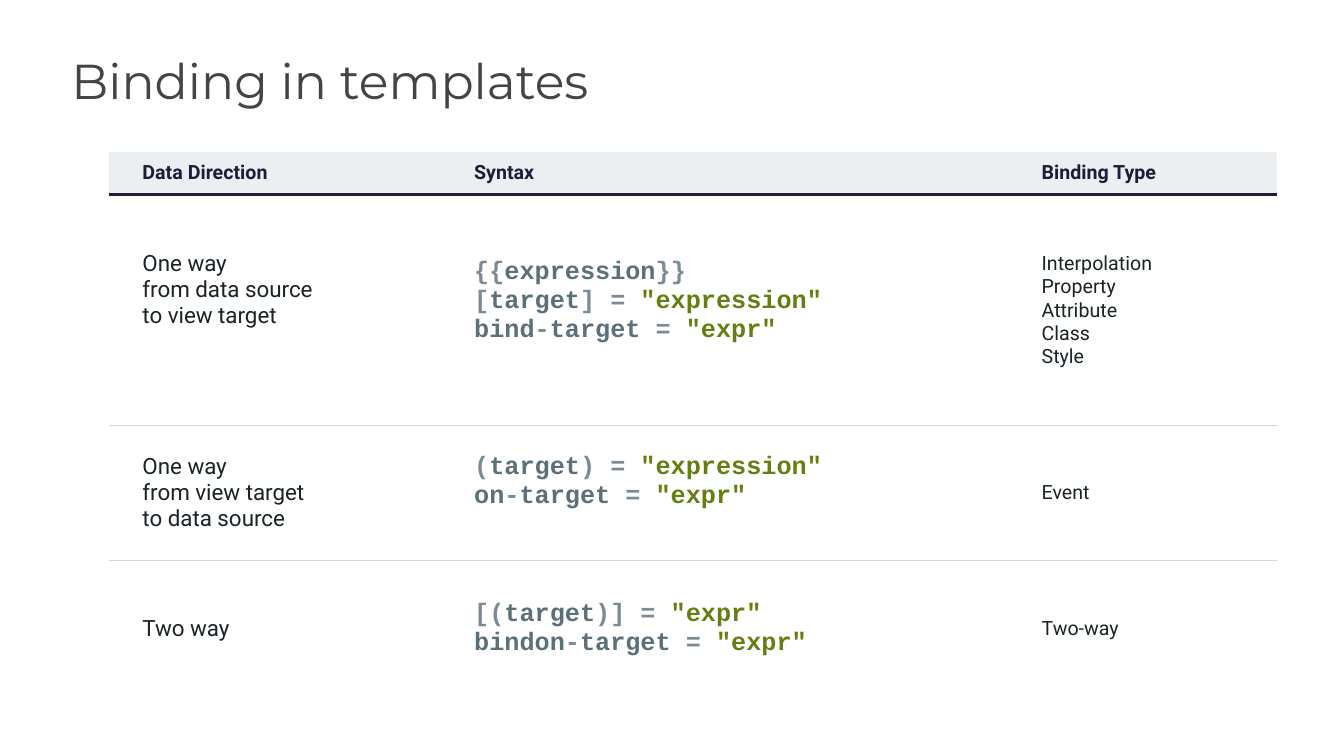
from dataclasses import dataclass
from itertools import groupby

from lxml import etree
from pptx import Presentation
from pptx.dml.color import RGBColor
from pptx.enum.text import MSO_ANCHOR
from pptx.oxml.ns import qn
from pptx.util import Cm, Pt

MIDDLE = MSO_ANCHOR.MIDDLE
PLAIN_TABLE_STYLE = "{2D5ABB26-0587-4C30-8999-92F81FD0307C}"


@dataclass(frozen=True)
class Theme:
    heading_font: str = "Montserrat"
    body_font: str = "Roboto"
    code_font: str = "Courier New"
    title: str = "444444"
    header: str = "1B1D39"
    header_fill: str = "ECEFF1"
    body_fill: str = "FFFFFF"
    body: str = "1A2326"
    rule: str = "CFD8DC"
    code_name: str = "5C707A"
    code_symbol: str = "7A8B94"
    code_string: str = "647F11"
    title_size: int = 35
    direction_size: int = 16
    code_size: int = 18
    small_size: int = 14


@dataclass
class Binding:
    """One table row; the lifts are extra bottom margins in cm that raise the text."""
    direction: list
    syntax: list
    types: list
    margin: float = 0.02
    direction_lift: float = 0
    syntax_lift: float = 0


HEADERS = ["Data Direction", "Syntax", "Binding Type"]
BINDINGS = [
    Binding(["One way", "from data source", "to view target"],
            ["{{expression}}", '[target] = "expression"', 'bind-target = "expr"'],
            ["Interpolation", "Property", "Attribute", "Class", "Style"],
            direction_lift=1.02, syntax_lift=0.43),
    Binding(["One way", "from view target", "to data source"],
            ['(target) = "expression"', 'on-target = "expr"'],
            ["Event"], syntax_lift=0.55),
    Binding(["Two way"],
            ['[(target)] = "expr"', 'bindon-target = "expr"'],
            ["Two-way"], margin=0.43),
]
COLUMN_WIDTHS = [8.36, 14.3, 6.76]
ROW_HEIGHTS = [1.09, 5.82, 3.4, 3.45]


def apply(target, values):
    for name, value in values.items():
        setattr(target, name, value)


class SlideBuilder:
    def __init__(self, slide, theme):
        self.slide = slide
        self.theme = theme

    def fill_text(self, frame, lines, font, size, bold=False):
        """Fill a text frame; each line is a list of (text, colour) pieces."""
        for index, pieces in enumerate(lines):
            paragraph = frame.paragraphs[0] if index == 0 else frame.add_paragraph()
            for text, colour in pieces:
                run = paragraph.add_run()
                run.text = text
                apply(run.font, {"name": font, "size": Pt(size), "bold": bold})
                run.font.color.rgb = RGBColor.from_string(colour)

    def title(self, text, left, top, width, height):
        theme = self.theme
        frame = self.slide.shapes.add_textbox(
            Cm(left), Cm(top), Cm(width), Cm(height)).text_frame
        apply(frame, {"word_wrap": True, "vertical_anchor": MIDDLE})
        self.fill_text(frame, [[(text, theme.title)]], theme.heading_font,
                       theme.title_size)
        frame.paragraphs[0].line_spacing = 0.9

    def table(self, left, top, widths, heights):
        holder = self.slide.shapes.add_table(
            len(heights), len(widths), Cm(left), Cm(top),
            Cm(sum(widths)), Cm(sum(heights)))
        for style in holder._element.iter(qn("a:tableStyleId")):
            style.text = PLAIN_TABLE_STYLE
        table = holder.table
        apply(table, {"first_row": False, "horz_banding": False})
        for column, width in zip(table.columns, widths):
            column.width = Cm(width)
        for row, height in zip(table.rows, heights):
            row.height = Cm(height)
        return table

    def cell(self, cell, lines, fill, font, size, bold=False, margin=0.02, lift=0):
        apply(cell, {"margin_left": Cm(0.84), "margin_right": Cm(0.02),
                     "margin_top": Cm(margin), "margin_bottom": Cm(margin + lift),
                     "vertical_anchor": MIDDLE})
        cell.fill.solid()
        cell.fill.fore_color.rgb = RGBColor.from_string(fill)
        self.fill_text(cell.text_frame, lines, font, size, bold)

    def border(self, cell, tag, colour, width):
        properties = cell._tc.get_or_add_tcPr()
        line = etree.Element(qn(tag), w=str(Pt(width)))
        solid = etree.SubElement(line, qn("a:solidFill"))
        etree.SubElement(solid, qn("a:srgbClr"), val=colour)
        position = len(properties.findall(qn("a:lnT")))
        properties.insert(position, line)

    def rule_below(self, table, row, colour, width):
        for column in range(len(table.columns)):
            self.border(table.cell(row + 1, column), "a:lnT", colour, width)
            self.border(table.cell(row, column), "a:lnB", colour, width)

    def code_pieces(self, line):
        """Colour names, symbols and the closing quoted string of a code line."""
        theme = self.theme
        head, quote, tail = line.partition('"')
        pieces = [("".join(group), theme.code_name if is_name else theme.code_symbol)
                  for is_name, group in groupby(head, str.isalpha)]
        return pieces + ([(quote + tail, theme.code_string)] if quote else [])

    def binding_table(self, left, top):
        theme = self.theme
        table = self.table(left, top, COLUMN_WIDTHS, ROW_HEIGHTS)
        for column, header in enumerate(HEADERS):
            self.cell(table.cell(0, column), [[(header, theme.header)]],
                      theme.header_fill, theme.body_font, theme.small_size, bold=True)
        for row, binding in enumerate(BINDINGS, start=1):
            direction, types = ([[(line, theme.body)] for line in lines]
                                for lines in (binding.direction, binding.types))
            syntax = [self.code_pieces(line) for line in binding.syntax]
            columns = [
                (direction, theme.body_font, theme.direction_size, False,
                 binding.direction_lift),
                (syntax, theme.code_font, theme.code_size, True, binding.syntax_lift),
                (types, theme.body_font, theme.small_size, False, 0),
            ]
            for column, (lines, font, size, bold, lift) in enumerate(columns):
                self.cell(table.cell(row, column), lines, theme.body_fill, font, size,
                          bold, binding.margin, lift)
        self.rule_below(table, 0, theme.header, 2.25)
        for row in range(1, len(BINDINGS)):
            self.rule_below(table, row, theme.rule, 1)


def main():
    presentation = Presentation()
    apply(presentation, {"slide_width": Cm(33.87), "slide_height": Cm(19.05)})
    slide = presentation.slides.add_slide(presentation.slide_layouts[6])
    builder = SlideBuilder(slide, Theme())
    builder.title("Binding in templates", 1.55, 1.07, 31.4, 2.1)
    builder.binding_table(2.75, 3.82)
    presentation.save("out.pptx")


if __name__ == "__main__":
    main()
